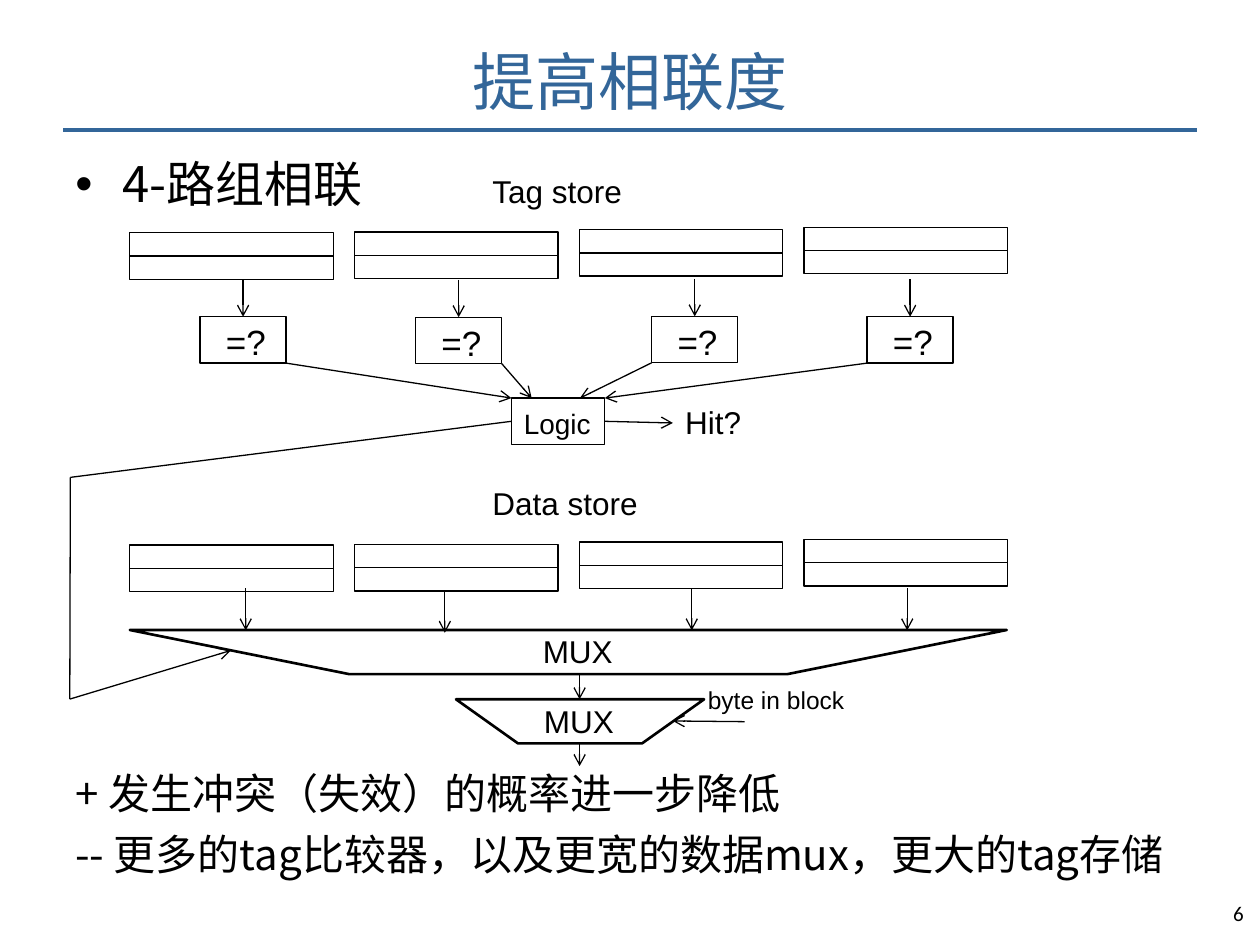
from dataclasses import dataclass

from lxml import etree
from pptx import Presentation
from pptx import util as u
from pptx.dml.color import RGBColor
from pptx.enum import shapes, text
from pptx.oxml.ns import qn


@dataclass(frozen=True)
class Theme:
    ink: RGBColor = RGBColor(0, 0, 0)
    accent: RGBColor = RGBColor(0x33, 0x66, 0x99)
    chinese: str = "Noto Sans CJK SC"
    diagram: str = "Arial"
    number: str = "Calibri"
    title: int = 36
    heading: int = 28
    body: int = 24
    compare: int = 20
    label: int = 18
    logic: int = 16
    note: int = 14
    footer: int = 12
    thin: float = 0.75
    thick: float = 1.5
    rule: float = 2


THEME = Theme()
# The four ways, from left to right
WAY_LEFT, WAY_STEP, WAY_WIDTH, ROW_HEIGHT = 74.2, 128.4, 116.4, 13.3
TAG_TOPS = [133, 132.6, 131.2, 129.8]
DATA_OFFSET = 178.5
COMPARATORS = [(114.3, 181), (237.5, 181.3), (372.4, 180.8), (495.5, 181)]
COMPARATOR_WIDTH, BOX_HEIGHT = 49.2, 26.5
LOGIC_TARGETS = [292.3, 303.8, 331.4, 345.6]
LOGIC_TOP = 227.5
DATA_ARROWS = [(140.4, 336.3), (254.2, 337.7), (395.3, 336.3), (518.4, 336.3)]


def points(*values):
    return [u.Pt(value) for value in values]


def style_paragraph(paragraph, size, font, color=THEME.ink):
    for run in paragraph.runs:
        run.font.size = u.Pt(size)
        run.font.name = font
        run.font.color.rgb = color
        if font == THEME.chinese:
            east_asian = etree.SubElement(run.font._element, qn("a:ea"))
            east_asian.set("typeface", font)


def add_label(slide, words, box, size, font=THEME.diagram, color=THEME.ink,
              align=text.PP_ALIGN.LEFT, wrap=False, anchor=text.MSO_ANCHOR.TOP):
    shape = slide.shapes.add_textbox(*points(*box))
    frame = shape.text_frame
    frame.word_wrap = wrap
    frame.vertical_anchor = anchor
    frame.text = words
    for paragraph in frame.paragraphs:
        paragraph.alignment = align
        style_paragraph(paragraph, size, font, color)
    return shape


def hang_indent(paragraph, bullet=None):
    properties = paragraph._p.get_or_add_pPr()
    properties.set("marL", str(u.Pt(27)))
    properties.set("indent", str(-u.Pt(27)))
    if bullet:
        etree.SubElement(properties, qn("a:buFont")).set("typeface", THEME.diagram)
        etree.SubElement(properties, qn("a:buChar")).set("char", bullet)


def add_body(slide, words, box, size, bullet=None):
    shape = add_label(slide, words, box, size, THEME.chinese, wrap=True)
    for index, paragraph in enumerate(shape.text_frame.paragraphs):
        hang_indent(paragraph, bullet)
        paragraph.line_spacing = u.Pt(round(size * 1.21))
        if index:
            paragraph.space_before = u.Pt(5.8)


def outline(shape, width):
    shape.shadow.inherit = False
    shape.fill.background()
    shape.line.color.rgb = THEME.ink
    shape.line.width = u.Pt(width)


def add_box(slide, box, words="", size=THEME.logic, inset=7.2):
    shape = slide.shapes.add_shape(shapes.MSO_SHAPE.RECTANGLE, *points(*box))
    outline(shape, THEME.thin)
    if words:
        frame = shape.text_frame
        frame.word_wrap = False
        frame.vertical_anchor = text.MSO_ANCHOR.MIDDLE
        frame.margin_left = u.Pt(inset)
        frame.margin_right = frame.margin_bottom = 0
        frame.margin_top = u.Pt(2)
        frame.text = words
        frame.paragraphs[0].alignment = text.PP_ALIGN.LEFT
        style_paragraph(frame.paragraphs[0], size, THEME.diagram)
    return shape


def add_line(slide, start, end, arrow=True, color=THEME.ink, width=THEME.thin):
    line = slide.shapes.add_connector(
        shapes.MSO_CONNECTOR.STRAIGHT, *points(*start, *end))
    line.line.color.rgb = color
    line.line.width = u.Pt(width)
    if arrow:
        etree.SubElement(line.line._get_or_add_ln(), qn("a:tailEnd")).set("type", "arrow")
    etree.SubElement(line._element.spPr, qn("a:effectLst"))
    return line


def add_mux(slide, left, top, width, height, label_left):
    slant = width / 4
    right, bottom = left + width, top + height
    builder = slide.shapes.build_freeform(u.Pt(right), u.Pt(top))
    corners = [(right - slant, bottom), (left + slant, bottom), (left, top)]
    builder.add_line_segments([points(*corner) for corner in corners], close=True)
    outline(builder.convert_to_shape(), THEME.thick)
    add_label(slide, "MUX", (label_left, top - 2.2, 55, 29), THEME.label)


def add_store(slide, name, offset):
    add_label(slide, name, (274.3, 94.5 + offset, 98, 29), THEME.label)
    for way, top in enumerate(TAG_TOPS):
        for row in range(2):
            add_box(slide, (WAY_LEFT + way * WAY_STEP, top + offset + row * ROW_HEIGHT,
                            WAY_WIDTH, ROW_HEIGHT))


def add_tag_compare(slide):
    logic = add_box(slide, (292.3, LOGIC_TOP, 53.3, BOX_HEIGHT), "Logic")
    for (left, top), target in zip(COMPARATORS, LOGIC_TARGETS):
        comparator = add_box(slide, (left, top, COMPARATOR_WIDTH, BOX_HEIGHT),
                             "=?", THEME.compare, inset=14.8)
        middle = left + COMPARATOR_WIDTH / 2
        arrow = add_line(slide, (middle, top - 21.4), (middle, top))
        arrow.end_connect(comparator, 0)
        # Leave from the lower corner that faces the logic box
        corner = left + COMPARATOR_WIDTH if left < 292.3 else left
        add_line(slide, (corner, top + BOX_HEIGHT), (target, LOGIC_TOP))
    hit = add_line(slide, (345.6, 240.8), (384.5, 241.7))
    hit.begin_connect(logic, 3)
    add_label(slide, "Hit?", (384.5, 227, 47, 29), THEME.label)
    return logic


def add_select_path(slide, logic):
    route = [(292.3, 240.8), (40.2, 272.8), (39.9, 399.5), (132, 371.7)]
    for index, (start, end) in enumerate(zip(route, route[1:])):
        line = add_line(slide, start, end, arrow=index == len(route) - 2)
        if index == 0:
            line.begin_connect(logic, 1)


def add_data_select(slide):
    add_mux(slide, 74.2, 360, 501.1, 25.2, 303.1)
    for x, top in DATA_ARROWS:
        add_line(slide, (x, top), (x, top + 23.9))
    add_line(slide, (331.2, 385.2), (331.2, 399.6))
    add_mux(slide, 260.6, 399.6, 141.8, 25.2, 303.8)
    add_line(slide, (425.5, 412.4), (384.5, 412))
    add_label(slide, "byte in block", (397.4, 388.1, 93, 24.5), THEME.note)
    add_line(slide, (331.2, 424.8), (331.2, 437.8))


def main():
    presentation = Presentation()
    presentation.slide_width, presentation.slide_height = points(720, 540)
    slide = presentation.slides.add_slide(presentation.slide_layouts[6])

    # Title and rule
    add_line(slide, (36, 74.2), (684, 74.2), False, THEME.accent, THEME.rule)
    add_label(slide, "提高相联度", (36, 9.4, 648, 72.7), THEME.title, THEME.chinese,
              THEME.accent, text.PP_ALIGN.CENTER, True, text.MSO_ANCHOR.MIDDLE)

    # Statements
    add_body(slide, "4-路组相联", (36, 84, 240, 42), THEME.heading, "•")
    add_body(slide, "+ 发生冲突（失效）的概率进一步降低\n"
                    "-- 更多的tag比较器，以及更宽的数据mux，更大的tag存储",
             (36, 434.8, 648, 100), THEME.body)

    # Cache diagram
    add_store(slide, "Tag store", 0)
    add_store(slide, "Data store", DATA_OFFSET)
    logic = add_tag_compare(slide)
    add_data_select(slide)
    add_select_path(slide, logic)

    # Slide number
    add_label(slide, "6", (684, 511.2, 33.8, 16.6), THEME.footer, THEME.number,
              align=text.PP_ALIGN.RIGHT, wrap=True)
    presentation.save("out.pptx")


if __name__ == "__main__":
    main()
